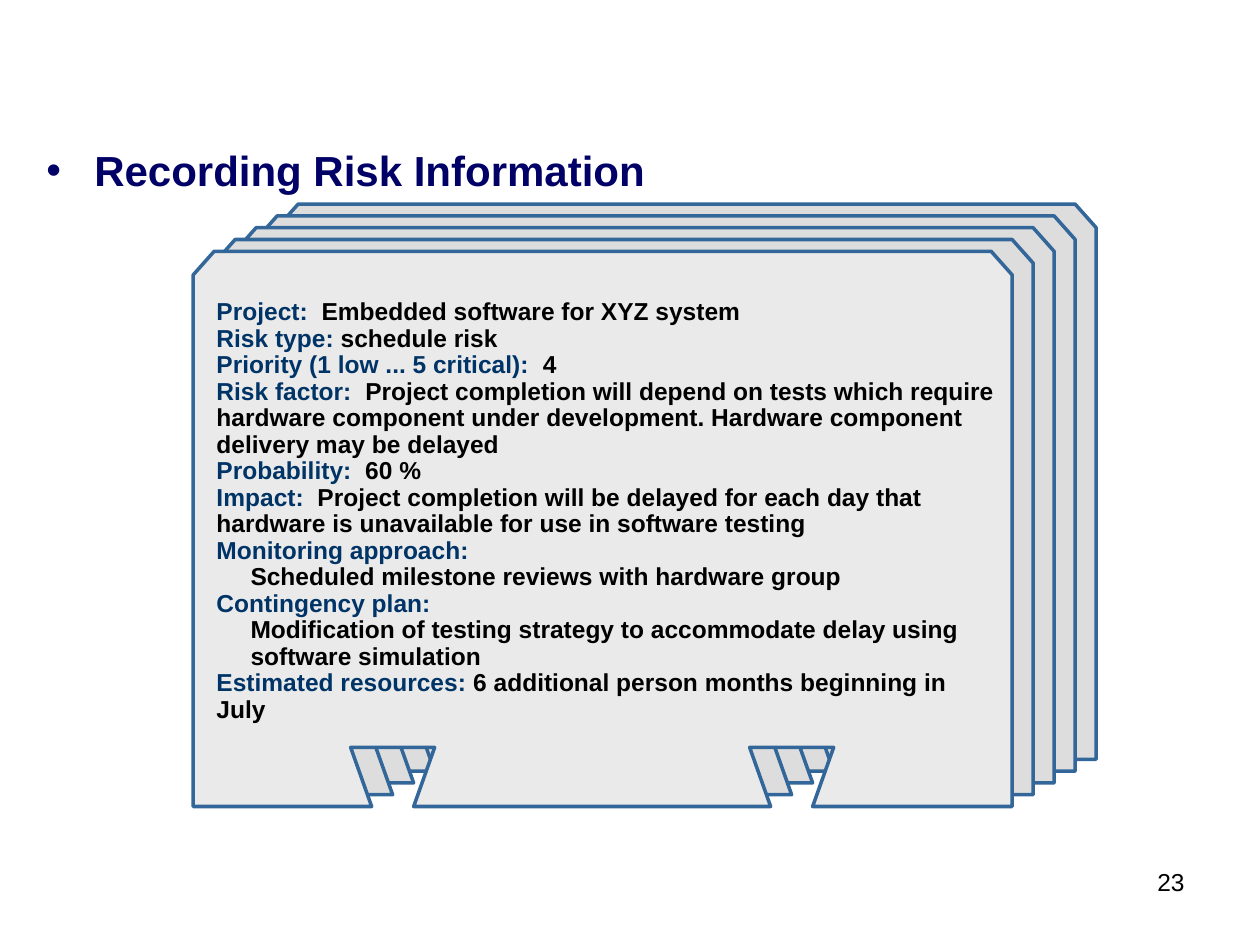
from lxml.etree import SubElement
from pptx import Presentation
from pptx.dml.color import RGBColor as RGB
from pptx.enum.text import PP_ALIGN as Align
from pptx.oxml.ns import qn
from pptx.util import Inches, Pt

# Content
TITLE = "Recording Risk Information"
PAGE = "23"
# (label, value, value is indented on its own line)
RECORD = [
    ("Project:", "  Embedded software for XYZ system", False),
    ("Risk type:", " schedule risk", False),
    ("Priority (1 low ... 5 critical):", "  4", False),
    ("Risk factor:", "  Project completion will depend on tests which require "
     "hardware component under development. Hardware component "
     "delivery may be delayed", False),
    ("Probability:", "  60 %", False),
    ("Impact:", "  Project completion will be delayed for each day that "
     "hardware is unavailable for use in software testing", False),
    ("Monitoring approach:",
     "Scheduled milestone reviews with hardware group", True),
    ("Contingency plan:", "Modification of testing strategy to accommodate "
     "delay using software simulation", True),
    ("Estimated resources:",
     " 6 additional person months beginning in July", False),
]

# Colours
NAVY = RGB(0x00, 0x00, 0x66)
LABEL = RGB(0x00, 0x33, 0x66)
BLACK = RGB(0x00, 0x00, 0x00)
EDGE = RGB(0x33, 0x66, 0x99)
BACK = RGB(0xDD, 0xDD, 0xDD)
FRONT = RGB(0xEA, 0xEA, 0xEA)

# Card grid: each card sits two columns left of and one row below the last
COL, ROW = Inches(1) / 12, Inches(3) / 32
CARDS, WIDTH, HEIGHT = 5, 78, 47
LEFT, TOP = Inches(2.2), Inches(1.62)


def notch(x):
    """Slot in the bottom edge, centred on column x, from right to left."""
    return [(x + 2, HEIGHT), (x + 4, HEIGHT - 5),
            (x - 4, HEIGHT - 5), (x - 2, HEIGHT)]


OUTLINE = [(0, HEIGHT), (0, 2), (2, 0), (WIDTH - 2, 0), (WIDTH, 2),
           (WIDTH, HEIGHT), *notch(57), *notch(19)]

prs = Presentation()
prs.slide_width, prs.slide_height = Inches(10), Inches(7.5)
slide = prs.slides.add_slide(prs.slide_layouts[6])


def add_text(left, top, width, height, paragraphs, size=14, bold=True,
             align=Align.LEFT, spacing=1.0, bullet=None):
    """Each paragraph is (indent in inches, [(text, colour), ...])."""
    box = slide.shapes.add_textbox(*map(Inches, (left, top, width, height)))
    tf = box.text_frame
    tf.word_wrap = True
    for i, (indent, runs) in enumerate(paragraphs):
        p = tf.paragraphs[0] if i == 0 else tf.add_paragraph()
        pPr = p._p.get_or_add_pPr()
        pPr.set("marL", str(Inches(indent)))
        if bullet:
            pPr.set("indent", str(-Inches(indent)))
            SubElement(pPr, qn("a:buFont"), typeface="Arial")
            SubElement(pPr, qn("a:buChar"), char=bullet)
        p.alignment, p.line_spacing = align, spacing
        for text, color in runs:
            r = p.add_run()
            r.text = text
            r.font.name, r.font.size, r.font.bold = "Arial", Pt(size), bold
            r.font.color.rgb = color


# Page number and title
add_text(7.44, 6.83, 2.06, 0.52, [(0, [(PAGE, BLACK)])], bold=False,
         align=Align.RIGHT)
add_text(0.27, 1.1, 9, 0.95, [(0.38, [(TITLE, NAVY)])], size=24, bullet="•")

# Stack of cards, back to front
for n in range(CARDS):
    builder = slide.shapes.build_freeform(*OUTLINE[0], scale=(COL, ROW))
    builder.add_line_segments(OUTLINE[1:], close=True)
    card = builder.convert_to_shape(round(LEFT - 2 * n * COL),
                                    round(TOP + n * ROW))
    card.shadow.inherit = False
    card.fill.solid()
    card.fill.fore_color.rgb = FRONT if n == CARDS - 1 else BACK
    card.line.color.rgb, card.line.width = EDGE, Pt(2)

# Risk record on the front card
lines = []
for label, value, indented in RECORD:
    if indented:
        lines += [(0, [(label, LABEL)]), (0.27, [(value, BLACK)])]
    else:
        lines.append((0, [(label, LABEL), (value, BLACK)]))
add_text(1.62, 2.33, 6.4, 3.69, lines, spacing=0.9)

prs.save("out.pptx")
